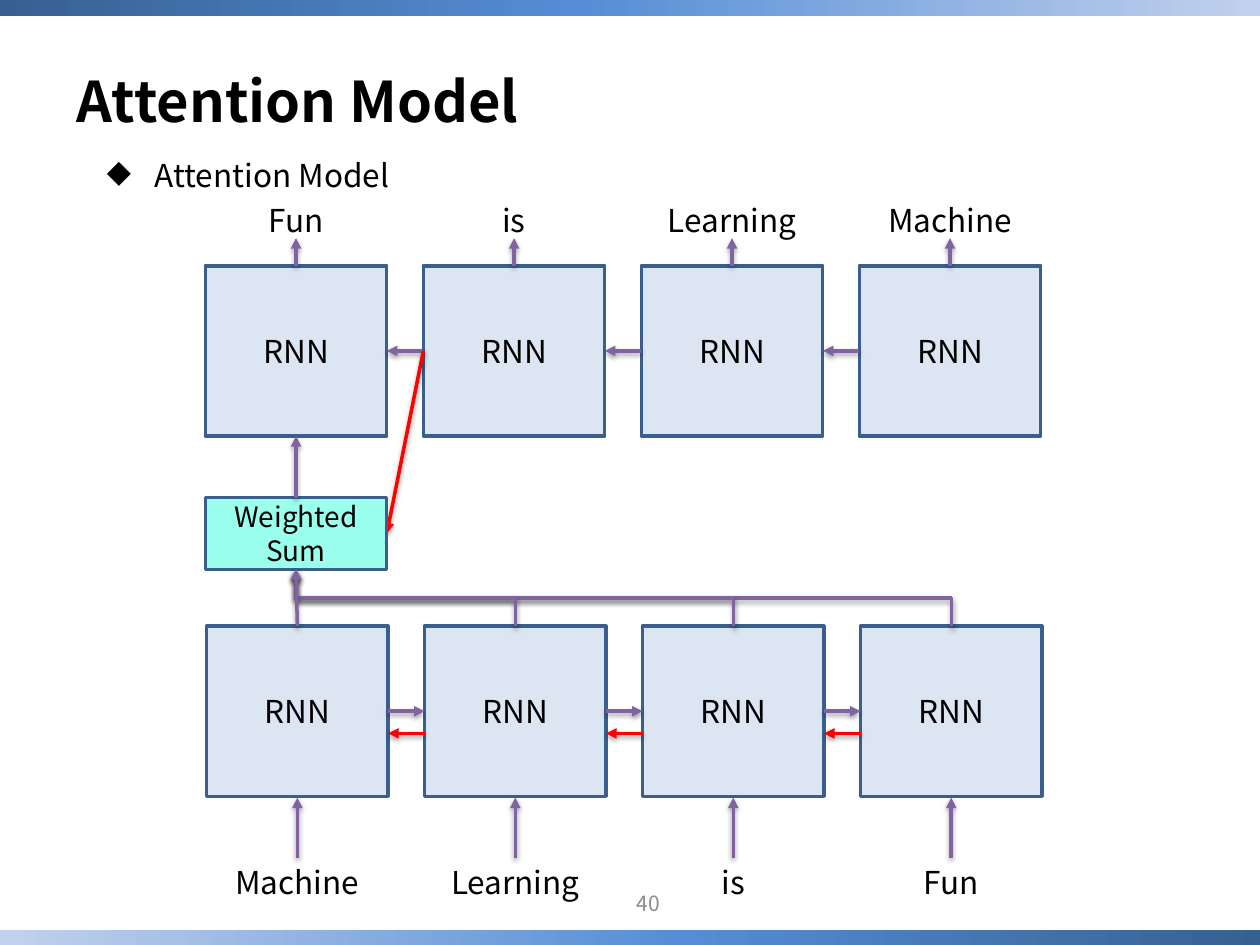
from copy import deepcopy
from dataclasses import dataclass
from pptx import Presentation
from pptx.dml.color import RGBColor as RGB
from pptx.enum.shapes import MSO_CONNECTOR as Conn, MSO_SHAPE as Shape
from pptx.enum.text import MSO_ANCHOR as Anchor, MSO_AUTO_SIZE as Fit, PP_ALIGN as Align
from pptx.oxml.ns import qn
from pptx.util import Inches, Pt
from lxml.etree import SubElement as Sub


@dataclass(frozen=True)
class Theme:
    font: str = "Noto Sans CJK KR"
    ink: str = "000000"
    gray: str = "8C8C8C"
    cell: str = "DCE6F2"
    mint: str = "9BFFEE"
    edge: str = "3A5F8C"
    flow: str = "8064A2"
    back: str = "FF0000"
    fade: tuple = ((0, "376092"), (0.46, "558ED5"), (1, "C2D1ED"))
    head: int = 32
    body: int = 18
    sub: int = 16
    note: int = 12
    line: int = 2


@dataclass(frozen=True)
class Box:
    x: float
    y: float
    w: float
    h: float

    def at(self, u, v):
        """Point at shares u and v of the box."""
        return self.x + u * self.w, self.y + v * self.h

    def col(self, i):
        """Cell i of a row of COLS cells with equal gaps."""
        return Box(self.x + i * STEP, self.y, CELL, self.h)

    def emu(self):
        return [Inches(n) for n in (self.x, self.y, self.w, self.h)]


T = Theme()
W, H = 10, 7.5
COLS, CELL, GAP = 4, 1.44, 0.29
STEP = CELL + GAP
SPAN = COLS * STEP - GAP
WORDS = ["Machine", "Learning", "is", "Fun"]


def write(shape, text, size=T.body, color=T.ink, bold=False,
          align=Align.CENTER, anchor=Anchor.TOP, bullet=None):
    frame = shape.text_frame
    frame.word_wrap = True
    frame.auto_size = Fit.NONE
    frame.vertical_anchor = anchor
    frame.text = text
    para = frame.paragraphs[0]
    para.alignment = align
    if bullet:
        props = para._p.get_or_add_pPr()
        props.set("marL", str(Inches(0.38)))
        props.set("indent", str(-Inches(0.38)))
        Sub(props, qn("a:buChar")).set("char", bullet)
    font = para.runs[0].font
    font.name, font.size, font.bold = T.font, Pt(size), bold
    font.color.rgb = RGB.from_string(color)


def label(slide, box, text, **form):
    write(slide.shapes.add_textbox(*box.emu()), text, **form)


def block(slide, box, text, fill, size=T.body):
    shape = slide.shapes.add_shape(Shape.RECTANGLE, *box.emu())
    shape.shadow.inherit = False
    shape.fill.solid()
    shape.fill.fore_color.rgb = RGB.from_string(fill)
    shape.line.color.rgb = RGB.from_string(T.edge)
    shape.line.width = Pt(T.line)
    write(shape, text, size=size, anchor=Anchor.MIDDLE)


def arrow(slide, start, end, color=T.flow, kind=Conn.STRAIGHT):
    link = slide.shapes.add_connector(kind, *map(Inches, (*start, *end)))
    link.line.color.rgb = RGB.from_string(color)
    link.line.width = Pt(T.line)
    props = link._element.spPr
    Sub(props.find(qn("a:ln")), qn("a:tailEnd")).set("type", "triangle")
    # Soft shadow just below the line
    glow = Sub(Sub(props, qn("a:effectLst")), qn("a:outerShdw"),
               blurRad=str(Pt(3.1)), dist=str(Pt(1.6)), dir="5400000", rotWithShape="0")
    tone = Sub(glow, qn("a:srgbClr"), val=T.ink)
    Sub(tone, qn("a:alpha"), val="38000")
    return link


def elbow(slide, start, end):
    """Arrow that goes up, left and up again: a bent line turned by 270 degrees."""
    (x1, y1), (x2, y2) = start, end
    mx, my = (x1 + x2) / 2, (y1 + y2) / 2
    dx, dy = (y1 - y2) / 2, (x1 - x2) / 2
    link = arrow(slide, (mx - dx, my + dy), (mx + dx, my - dy), kind=Conn.ELBOW)
    link._element.spPr.find(qn("a:xfrm")).set("rot", "16200000")


def band(slide, box, turn=0):
    bar = slide.shapes.add_shape(Shape.RECTANGLE, *box.emu())
    bar.shadow.inherit = False
    bar.line.fill.background()
    bar.rotation = turn
    bar.fill.gradient()
    bar.fill.gradient_angle = 0
    stops = bar._element.spPr.find(".//" + qn("a:gsLst"))
    stops.append(deepcopy(stops[-1]))
    for stop, (pos, color) in zip(bar.fill.gradient_stops, T.fade):
        stop.position = pos
        stop.color.rgb = RGB.from_string(color)


def frame(slide, page):
    # Bands, title, bullet and page number
    band(slide, Box(page.x, page.y, page.w, 0.13))
    band(slide, Box(page.x, page.h - 0.12, page.w, 0.13), turn=180)
    title = slide.shapes.title
    title.left, title.top, title.width, title.height = Box(0.51, 0.52, 9.61, 0.55).emu()
    write(title, "Attention Model", size=T.head, bold=True,
          align=Align.LEFT, anchor=Anchor.MIDDLE)
    label(slide, Box(0.75, 1.19, 8.46, 0.4), "Attention Model",
          align=Align.LEFT, bullet="◆")
    label(slide, Box(3.98, 6.97, 2.33, 0.4), "40", size=T.note, color=T.gray,
          anchor=Anchor.MIDDLE)


def cells(slide, row, words, top):
    """RNN blocks with one word under or over each."""
    for i, word in enumerate(words):
        cell = row.col(i)
        block(slide, cell, "RNN", T.cell)
        mid = cell.at(0.5, 0)[0]
        label(slide, Box(mid - 1.02, top, 2.04, 0.4), word)


def encoder(slide, row):
    cells(slide, row, WORDS, row.y + 1.83)
    for i in range(COLS):
        x, y = row.col(i).at(0.5, 1)
        arrow(slide, (x, y + 0.49), (x, y + 0.01))
    for i in range(COLS - 1):
        left, right = row.col(i), row.col(i + 1)
        arrow(slide, left.at(1, 0.5), right.at(0, 0.5))
        arrow(slide, right.at(0, 0.63), left.at(1, 0.63), color=T.back)


def decoder(slide, row):
    cells(slide, row, WORDS[::-1], row.y - 0.56)
    for i in range(COLS):
        x, y = row.col(i).at(0.5, 0)
        arrow(slide, (x, y), (x, y - 0.22))
    for i in range(COLS - 1):
        arrow(slide, row.col(i + 1).at(0, 0.5), row.col(i).at(1, 0.5))


def attention(slide, box, low, high):
    """Weighted sum between the encoder row and the decoder row."""
    arrow(slide, high.col(1).at(0, 0.5), box.at(1, 0.5), color=T.back)
    block(slide, box, "Weighted Sum", T.mint, size=T.sub)
    for i in range(COLS - 1, 0, -1):
        elbow(slide, low.col(i).at(0.5, 0), box.at(0.5, 1))
    arrow(slide, low.col(0).at(0.5, 0), box.at(0.5, 1))
    arrow(slide, box.at(0.5, 0), high.col(0).at(0.5, 1))


def main():
    deck = Presentation()
    deck.slide_width, deck.slide_height = Inches(W), Inches(H)
    slide = deck.slides.add_slide(deck.slide_layouts[5])
    low = Box(1.64, 4.97, SPAN, 1.35)
    high = Box(1.63, 2.11, SPAN, 1.35)
    frame(slide, Box(0, 0, W, H))
    encoder(slide, low)
    decoder(slide, high)
    attention(slide, Box(1.63, 3.95, CELL, 0.57), low, high)
    deck.save("out.pptx")


if __name__ == "__main__":
    main()
